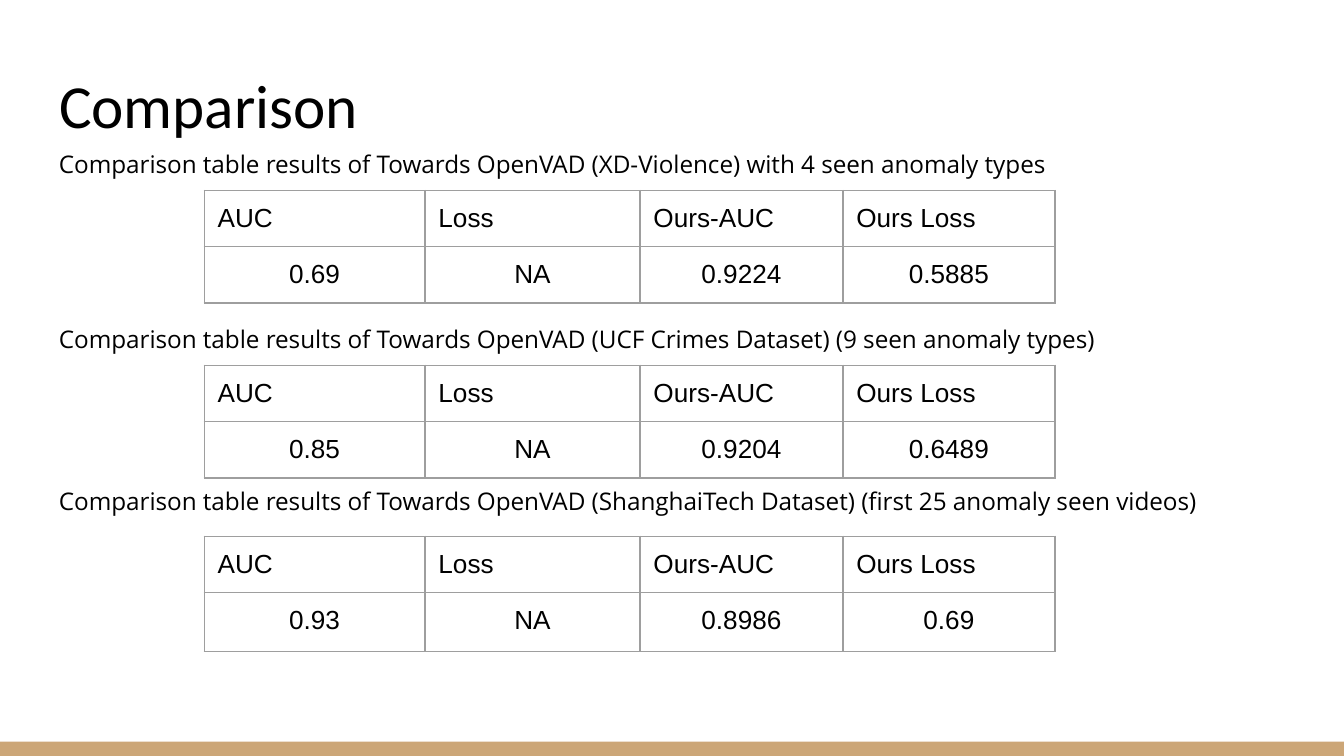
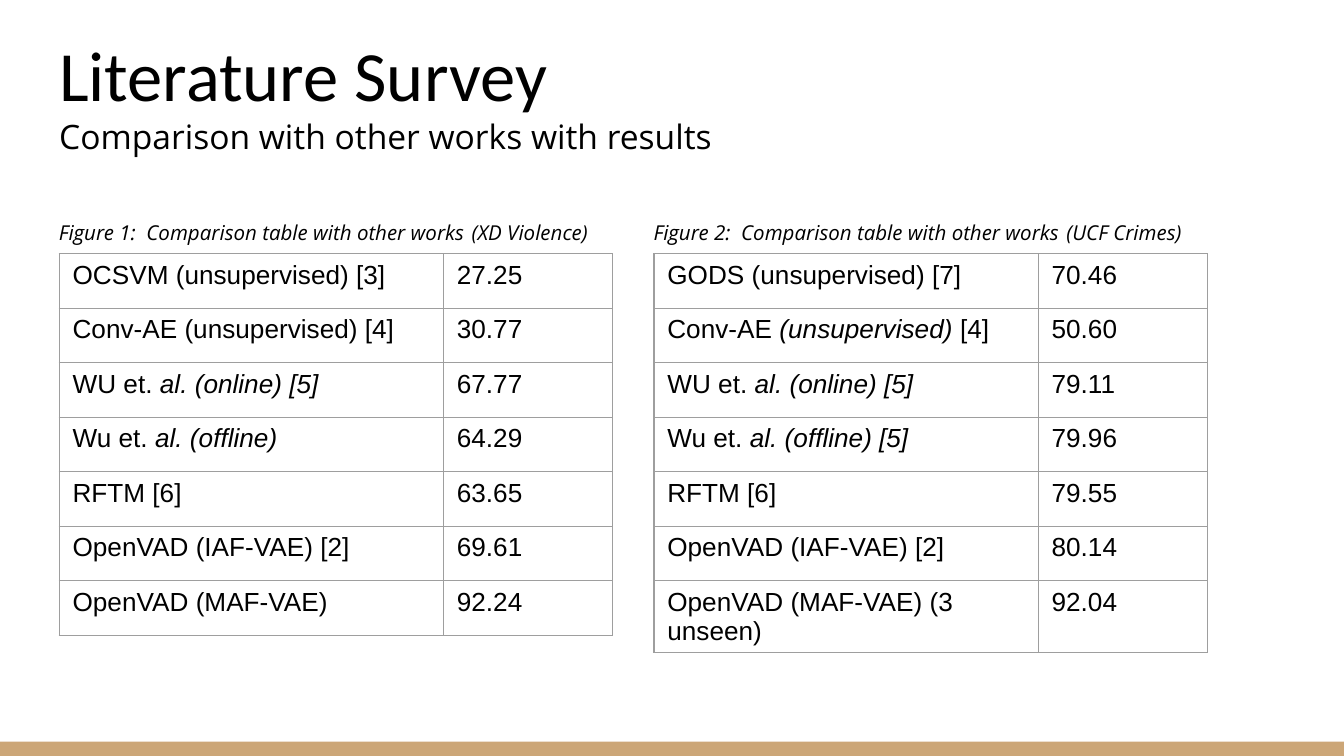
from lxml import etree
from pptx import Presentation
from pptx.dml.color import RGBColor
from pptx.enum.shapes import MSO_SHAPE
from pptx.enum.text import MSO_ANCHOR, MSO_AUTO_SIZE, PP_ALIGN
from pptx.oxml.ns import qn
from pptx.util import Pt

BLACK = RGBColor(0x00, 0x00, 0x00)
TAN = RGBColor(0xCC, 0xA6, 0x77)
BORDER = RGBColor(0x9E, 0x9E, 0x9E)
RECTANGLE = MSO_SHAPE.RECTANGLE
BOTTOM, TOP = MSO_ANCHOR.BOTTOM, MSO_ANCHOR.TOP
LEFT, CENTER = PP_ALIGN.LEFT, PP_ALIGN.CENTER
NO_AUTOFIT = MSO_AUTO_SIZE.NONE
TITLE_FONT, BODY_FONT, TABLE_FONT = "Calibri", "Open Sans", "Arial"

SLIDE_WIDTH, SLIDE_HEIGHT = 720, 405
BAND_HEIGHT = 7.6
MARGIN, CONTENT_WIDTH = 24.5, 671
INSET = 7.2

RESULT_HEADER = ["AUC", "Loss", "Ours-AUC", "Ours Loss"]
RESULT_COLUMNS = [118.3, 115.2, 108.7, 113.6]
RESULT_LEFT = 109.4
RESULTS = [
    {"caption": "Comparison table results of Towards OpenVAD (XD-Violence) with 4 seen anomaly types",
     "gap": 0, "top": 102, "heights": [30, 30],
     "values": ["0.69", "NA", "0.9224", "0.5885"]},
    {"caption": "Comparison table results of Towards OpenVAD (UCF Crimes Dataset) (9 seen anomaly types)",
     "gap": 75.6, "top": 195.7, "heights": [30, 30],
     "values": ["0.85", "NA", "0.9204", "0.6489"]},
    {"caption": "Comparison table results of Towards OpenVAD (ShanghaiTech Dataset) (first 25 anomaly seen videos)",
     "gap": 68.8, "top": 287.3, "heights": [30, 31.7],
     "values": ["0.93", "NA", "0.8986", "0.69"]},
]

SURVEY_COLUMNS = [205.9, 90.7]
SURVEY_ROW_HEIGHT = 29.2
SURVEY_TOP, SURVEY_STEP = 135.9, 318.6
CAPTION_TOP, CAPTION_INSET = 81.4, 31
CAPTION_WIDTH, CAPTION_HEIGHT = 311, 264.2
# Within these strings "|" switches italics on and off.
SURVEYS = [
    {"caption": "|Figure 1:  Comparison table with other works| |(XD Violence)",
     "rows": [("OCSVM (unsupervised) [3]", "27.25"),
              ("Conv-AE (unsupervised) [4]", "30.77"),
              ("WU et. |al. (online) [5]", "67.77"),
              ("Wu et. |al. (offline)", "64.29"),
              ("RFTM [6]", "63.65"),
              ("OpenVAD (IAF-VAE) [2]", "69.61"),
              ("OpenVAD (MAF-VAE)", "92.24")]},
    {"caption": "|Figure 2:  Comparison table with other works| |(UCF Crimes)",
     "rows": [("GODS (unsupervised) [7]", "70.46"),
              ("Conv-AE| (unsupervised) |[4]", "50.60"),
              ("WU et. |al. (online) [5]", "79.11"),
              ("Wu et. |al. (offline) [5]", "79.96"),
              ("RFTM [6]", "79.55"),
              ("OpenVAD (IAF-VAE) [2]", "80.14"),
              ("OpenVAD (MAF-VAE) (3 unseen)", "92.04")]},
]


def set_font(font, name, size):
    font.name, font.size = name, Pt(size)
    font.color.rgb = BLACK


def add_marked_runs(paragraph, marked, italic_size=None):
    for index, part in enumerate(marked.split("|")):
        if part:
            run = paragraph.add_run()
            run.text = part
            if index % 2:
                run.font.italic = True
                if italic_size:
                    run.font.size = Pt(italic_size)


def set_frame(frame, anchor, top_inset=INSET):
    frame.word_wrap = True
    frame.auto_size = NO_AUTOFIT
    frame.vertical_anchor = anchor
    frame.margin_left = frame.margin_right = frame.margin_bottom = Pt(INSET)
    frame.margin_top = Pt(top_inset)


def add_titled_slide(deck, top, height, size, heading, subtitle=None):
    slide = deck.slides.add_slide(deck.slide_layouts[5])
    band = slide.shapes.add_shape(RECTANGLE, 0, Pt(SLIDE_HEIGHT - BAND_HEIGHT),
                                  Pt(SLIDE_WIDTH), Pt(BAND_HEIGHT))
    band.shadow.inherit = False
    band.fill.solid()
    band.fill.fore_color.rgb = TAN
    band.line.fill.background()

    title = slide.shapes.title
    title.left, title.top = Pt(MARGIN), Pt(top)
    title.width, title.height = Pt(CONTENT_WIDTH), Pt(height)
    set_frame(title.text_frame, BOTTOM)
    paragraph = title.text_frame.paragraphs[0]
    paragraph.alignment = LEFT
    set_font(paragraph.font, TITLE_FONT, size)
    paragraph.add_run().text = heading
    if subtitle:
        paragraph.add_line_break()
        run = paragraph.add_run()
        run.text = subtitle
        set_font(run.font, BODY_FONT, 18)
    return slide


def add_caption_box(slide, left, top, width, height, top_inset=INSET):
    box = slide.shapes.add_textbox(Pt(left), Pt(top), Pt(width), Pt(height))
    set_frame(box.text_frame, TOP, top_inset)
    return box.text_frame


def set_borders(cell):
    properties = cell._tc.get_or_add_tcPr()
    for position, side in enumerate(("lnL", "lnR", "lnT", "lnB")):
        line = etree.Element(qn(f"a:{side}"), w=str(Pt(0.75)))
        fill = etree.SubElement(line, qn("a:solidFill"))
        etree.SubElement(fill, qn("a:srgbClr"), val=str(BORDER))
        properties.insert(position, line)


def add_grid(slide, left, top, columns, heights, rows, vertical_inset, body_alignment):
    grid = slide.shapes.add_table(len(rows), len(columns), Pt(left), Pt(top),
                                  Pt(sum(columns)), Pt(sum(heights))).table
    grid.first_row = grid.horz_banding = False
    for column, width in zip(grid.columns, columns):
        column.width = Pt(width)
    for row_index, (row, height, entries) in enumerate(zip(grid.rows, heights, rows)):
        row.height = Pt(height)
        for cell, entry in zip(row.cells, entries):
            cell.margin_left = cell.margin_right = Pt(INSET)
            cell.margin_top = cell.margin_bottom = Pt(vertical_inset)
            cell.fill.background()
            set_borders(cell)
            paragraph = cell.text_frame.paragraphs[0]
            paragraph.alignment = body_alignment if row_index else LEFT
            set_font(paragraph.font, TABLE_FONT, 14)
            add_marked_runs(paragraph, entry)


def build_comparison(deck):
    slide = add_titled_slide(deck, 13.7, 69, 32.8, "Comparison")
    captions = add_caption_box(slide, MARGIN, 70.6, CONTENT_WIDTH, 264.2)
    for index, result in enumerate(RESULTS):
        paragraph = captions.add_paragraph() if index else captions.paragraphs[0]
        paragraph.text = result["caption"]
        paragraph.line_spacing = 1.15
        if index:
            paragraph.space_before = Pt(result["gap"])
        set_font(paragraph.font, BODY_FONT, 13)
        add_grid(slide, RESULT_LEFT, result["top"], RESULT_COLUMNS, result["heights"],
                 [RESULT_HEADER, result["values"]], INSET, CENTER)


def build_survey(deck):
    slide = add_titled_slide(deck, 25.2, 65.5, 37.8, "Literature Survey ",
                             "Comparison with other works with results")
    for index, survey in enumerate(SURVEYS):
        left = MARGIN + index * SURVEY_STEP
        caption = add_caption_box(slide, left, CAPTION_TOP, CAPTION_WIDTH,
                                  CAPTION_HEIGHT, CAPTION_INSET).paragraphs[0]
        caption.line_spacing = 1.15
        set_font(caption.font, BODY_FONT, 14)
        add_marked_runs(caption, survey["caption"], 11)
        rows = survey["rows"]
        add_grid(slide, left + INSET, SURVEY_TOP, SURVEY_COLUMNS,
                 [SURVEY_ROW_HEIGHT] * len(rows), rows, INSET / 2, LEFT)


def main():
    deck = Presentation()
    deck.slide_width, deck.slide_height = Pt(SLIDE_WIDTH), Pt(SLIDE_HEIGHT)
    build_comparison(deck)
    build_survey(deck)
    deck.save("out.pptx")


if __name__ == "__main__":
    main()
